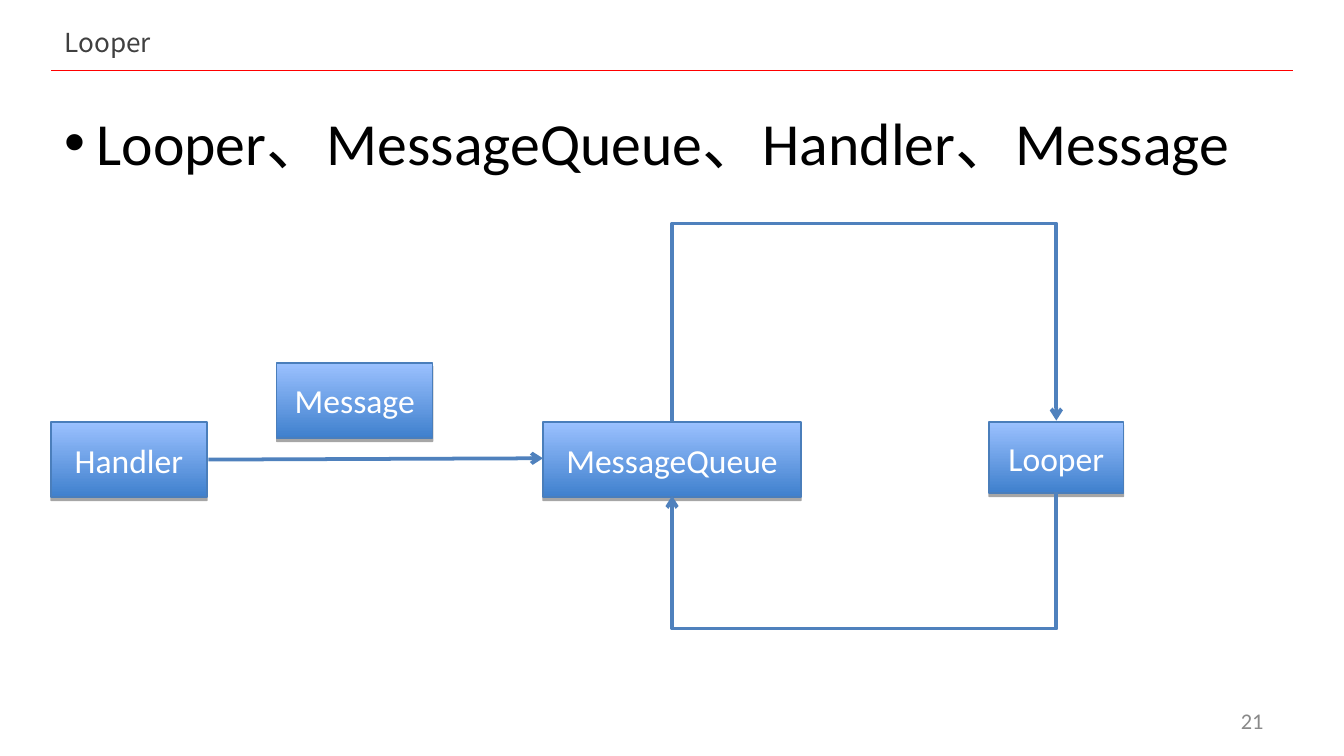
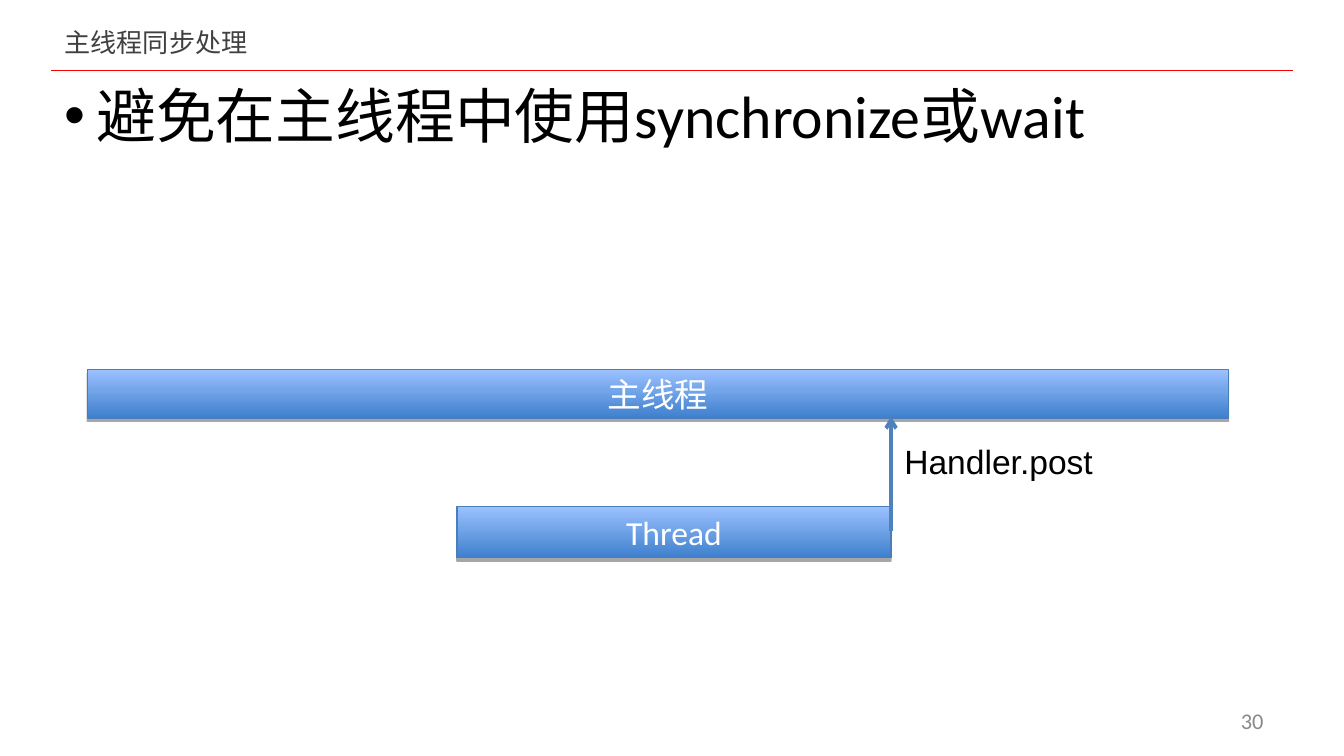
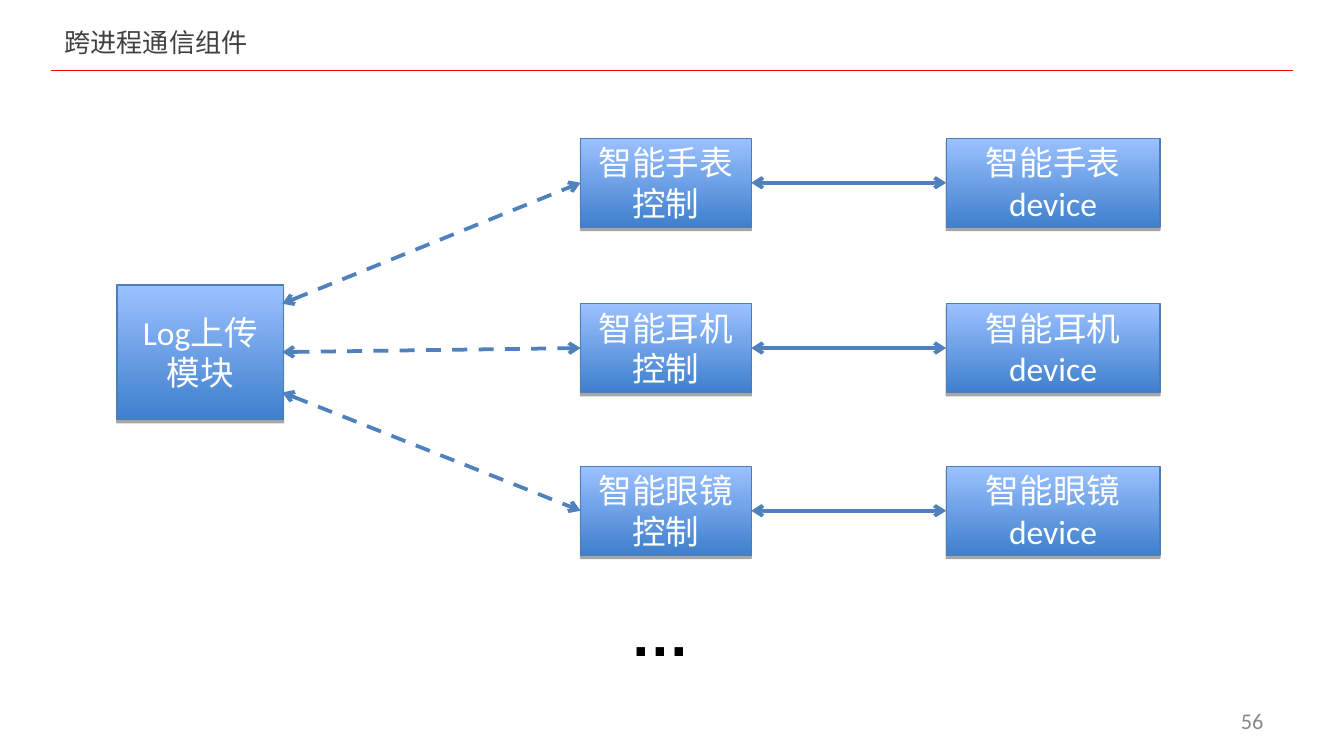
from lxml import etree
from pptx import Presentation
from pptx.dml.color import RGBColor
from pptx.enum.dml import MSO_LINE
from pptx.enum.shapes import MSO_CONNECTOR, MSO_SHAPE
from pptx.enum.text import MSO_ANCHOR, PP_ALIGN
from pptx.oxml.ns import qn
from pptx.util import Inches, Pt

RED = RGBColor(0xFF, 0x00, 0x00)
BLACK = RGBColor(0x00, 0x00, 0x00)
WHITE = RGBColor(0xFF, 0xFF, 0xFF)
DARK = RGBColor(0x40, 0x40, 0x40)
GREY = RGBColor(0x89, 0x89, 0x89)
DEEP = RGBColor(0x3F, 0x80, 0xCD)
PALE = RGBColor(0x9B, 0xC1, 0xFF)
EDGE = RGBColor(0x4A, 0x7E, 0xBB)
BLUE = RGBColor(0x4F, 0x81, 0xBD)

LEFT, CENTER, RIGHT = PP_ALIGN.LEFT, PP_ALIGN.CENTER, PP_ALIGN.RIGHT
TOP, MIDDLE = MSO_ANCHOR.TOP, MSO_ANCHOR.MIDDLE
STRAIGHT, ELBOW = MSO_CONNECTOR.STRAIGHT, MSO_CONNECTOR.ELBOW
RECT = MSO_SHAPE.RECTANGLE
DASH = MSO_LINE.DASH

HEAD_FONT, BODY_FONT, NOTE_FONT = "Noto Sans CJK SC", "Calibri", "Arial"


def add_sub(parent, tag, **attrs):
    return etree.SubElement(parent, qn(tag), attrs)


def write(shape, text, size, color, font=BODY_FONT, align=LEFT,
          anchor=TOP, wrap=True, bold=False, bullet=False):
    frame = shape.text_frame
    frame.word_wrap = wrap
    frame.vertical_anchor = anchor
    para = frame.paragraphs[0]
    para.text = text
    para.alignment = align
    if bullet:
        props = para._p.get_or_add_pPr()
        props.set("marL", str(Inches(0.24)))
        props.set("indent", str(-Inches(0.24)))
        add_sub(props, "a:buFont", typeface=NOTE_FONT)
        add_sub(props, "a:buChar", char="•")
    para.font.name = font
    para.font.size = Pt(size)
    para.font.bold = bold
    para.font.color.rgb = color


def add_text(slide, place, text, size, color, **style):
    box = slide.shapes.add_textbox(*map(Inches, place))
    write(box, text, size, color, **style)


def add_point(slide, top, text):
    add_text(slide, (0.38, top, 9, 0.66), text, 32, BLACK, bullet=True)


def add_box(slide, place, text):
    box = slide.shapes.add_shape(RECT, *map(Inches, place))
    box.fill.gradient()
    box.fill.gradient_angle = 90
    for stop, color in zip(box.fill.gradient_stops, (DEEP, PALE)):
        stop.color.rgb = color
    box.line.color.rgb = EDGE
    box.line.width = Pt(0.75)
    box.shadow.inherit = False
    effects = box.element.spPr.find(qn("a:effectLst"))
    shade = add_sub(effects, "a:outerShdw", blurRad="0", dist=str(Pt(1.8)),
                    dir="5400000", rotWithShape="0")
    tone = add_sub(shade, "a:srgbClr", val=str(BLACK))
    add_sub(tone, "a:alpha", val="35000")
    write(box, text, 18, WHITE, align=CENTER, anchor=MIDDLE)


def add_line(slide, start, end, kind=STRAIGHT, color=BLUE, width=2,
             dash=None, ends=("tailEnd",)):
    line = slide.shapes.add_connector(kind, *map(Inches, (*start, *end)))
    line.line.color.rgb = color
    line.line.width = Pt(width)
    if dash:
        line.line.dash_style = dash
    pen = line.line._get_or_add_ln()
    for end_name in ends:
        add_sub(pen, "a:" + end_name, type="arrow")
    add_sub(line.element.spPr, "a:effectLst")
    return line


def add_loop(slide, start, end, level):
    (x1, y1), (x2, y2) = start, end
    mid_x, mid_y = (x1 + x2) / 2, (y1 + y2) / 2
    rise, run = (y2 - y1) / 2, (x1 - x2) / 2
    line = add_line(slide, (mid_x - rise, mid_y - run),
                    (mid_x + rise, mid_y + run), kind=ELBOW)
    props = line.element.spPr
    props.find(qn("a:xfrm")).set("rot", "5400000")
    guides = props.find(qn("a:prstGeom")).find(qn("a:avLst"))
    ratio = round((level - y1) / (y2 - y1) * 100000)
    add_sub(guides, "a:gd", name="adj1", fmla=f"val {ratio}")


def add_page(deck, title, number):
    slide = deck.slides.add_slide(deck.slide_layouts[5])
    add_line(slide, (0.38, 0.52), (9.62, 0.52), color=RED, width=0.25, ends=())
    head = slide.shapes.title
    head.left, head.top, head.width, head.height = map(
        Inches, (0.38, 0.16, 4.38, 0.3))
    write(head, title, 14, DARK, font=HEAD_FONT, anchor=MIDDLE)
    add_text(slide, (7.17, 5.21, 2.33, 0.3), str(number), 12, GREY,
             align=RIGHT, anchor=MIDDLE)
    return slide


def draw_looper(deck):
    slide = add_page(deck, "Looper", 21)
    add_point(slide, 0.74, "Looper、MessageQueue、Handler、Message")
    add_box(slide, (0.38, 3.14, 1.16, 0.56), "Handler")
    add_box(slide, (7.36, 3.14, 1, 0.53), "Looper")
    add_box(slide, (4.04, 3.14, 1.92, 0.56), "MessageQueue")
    add_loop(slide, (5, 3.14), (7.86, 3.13), 1.64)
    add_loop(slide, (7.86, 3.66), (5, 3.69), 4.68)
    add_box(slide, (2.06, 2.7, 1.16, 0.56), "Message")
    add_line(slide, (1.55, 3.42), (4.04, 3.41))


def draw_thread(deck):
    slide = add_page(deck, "主线程同步处理", 30)
    add_point(slide, 0.54, "避免在主线程中使用synchronize或wait")
    add_box(slide, (0.65, 2.75, 8.49, 0.36), "主线程")
    add_box(slide, (3.4, 3.77, 3.23, 0.38), "Thread")
    add_line(slide, (6.63, 3.95), (6.63, 3.1))
    add_text(slide, (6.63, 3.23, 1.61, 0.4), "Handler.post", 18, BLACK,
             font=NOTE_FONT, wrap=False)


def draw_parts(deck):
    slide = add_page(deck, "跨进程通信组件", 56)
    add_box(slide, (0.87, 2.12, 1.24, 1), "Log上传模块")
    both = ("headEnd", "tailEnd")
    rows = (("智能手表", 1.03, 2.26), ("智能耳机", 2.26, 2.62),
            ("智能眼镜", 3.47, 2.92))
    for name, top, port in rows:
        mid = top + 0.33
        add_box(slide, (4.32, top, 1.27, 0.66), name + "控制")
        add_box(slide, (7.04, top, 1.59, 0.66), name + "device")
        add_line(slide, (5.59, mid), (7.04, mid), ends=both)
        add_line(slide, (2.1, port), (4.32, mid), dash=DASH, ends=both)
    add_text(slide, (4.59, 4.39, 0.64, 0.64), "…", 32, BLACK,
             font=NOTE_FONT, wrap=False, bold=True)


def main():
    deck = Presentation()
    deck.slide_width = Inches(10)
    deck.slide_height = deck.slide_width * 9 // 16
    draw_looper(deck)
    draw_thread(deck)
    draw_parts(deck)
    deck.save("out.pptx")


if __name__ == "__main__":
    main()
